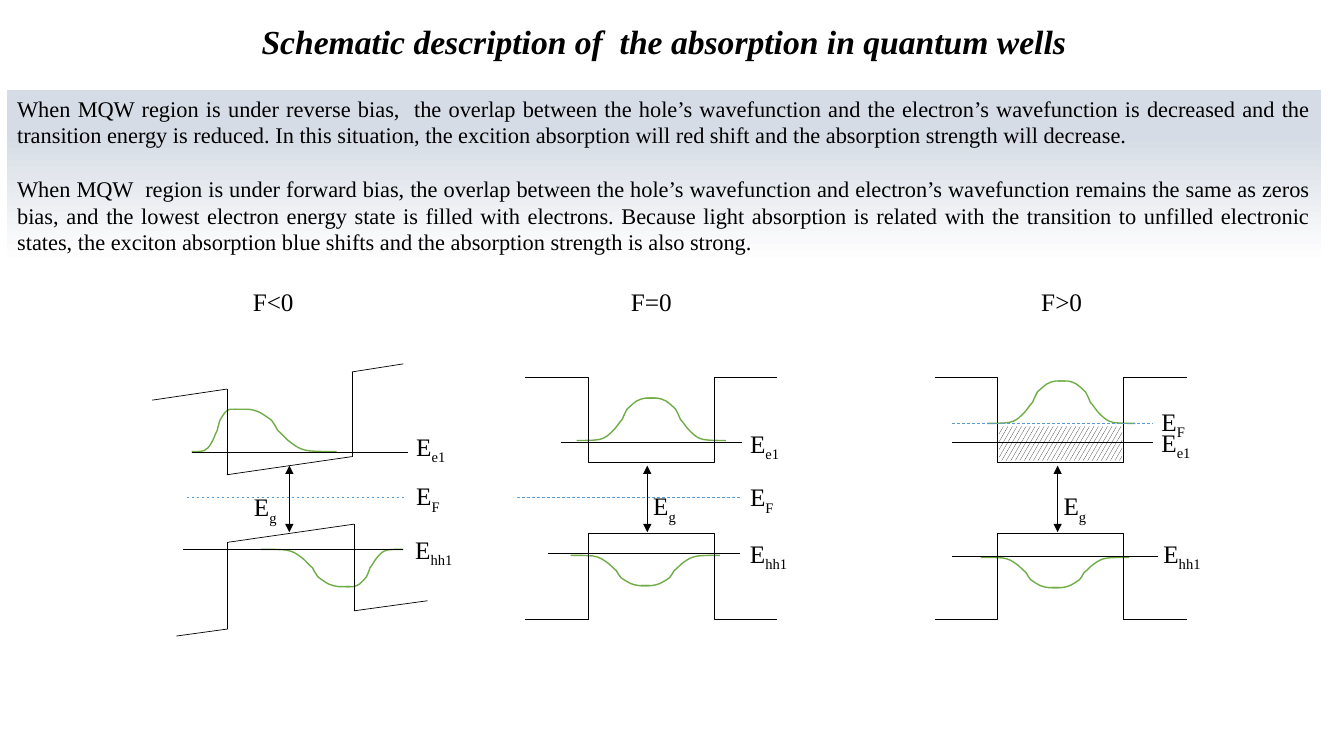
from lxml.etree import SubElement
from pptx import Presentation
from pptx.dml.color import RGBColor
from pptx.enum.dml import MSO_LINE, MSO_PATTERN
from pptx.enum.shapes import MSO_CONNECTOR, MSO_SHAPE
from pptx.enum.text import MSO_ANCHOR, MSO_AUTO_SIZE, PP_ALIGN
from pptx.oxml.ns import qn
from pptx.util import Inches, Pt

COLORS = {"ink": "000000", "paper": "FFFFFF", "panel": "D6DCE5",
          "wave": "70AD47", "fermi": "5B9BD5"}
COLORS = {name: RGBColor.from_string(value) for name, value in COLORS.items()}
FONT = "Times New Roman"

presentation = Presentation()
presentation.slide_width = Inches(13.33)
presentation.slide_height = Inches(7.5)
slide = presentation.slides.add_slide(presentation.slide_layouts[1])


def draw_line(x1, y1, x2, y2, kind=MSO_CONNECTOR.STRAIGHT, color="ink", dashed=False, arrows=False):
    line = slide.shapes.add_connector(kind, *map(Inches, (x1, y1, x2, y2)))
    line.line.width = Pt(0.5)
    line.line.color.rgb = COLORS[color]
    if dashed:
        line.line.dash_style = MSO_LINE.DASH
    if arrows:
        for end in ("a:headEnd", "a:tailEnd"):
            SubElement(line.line._get_or_add_ln(), qn(end), type="triangle")
    SubElement(line._element.spPr, qn("a:effectLst"))


def write_label(left, top, width, text, subscript=""):
    box = slide.shapes.add_textbox(*map(Inches, (left, top, width, 0.4)))
    box.text_frame.word_wrap = True
    paragraph = box.text_frame.paragraphs[0]
    paragraph.alignment = PP_ALIGN.LEFT if subscript else PP_ALIGN.CENTER
    for part in filter(None, (text, subscript)):
        run = paragraph.add_run()
        run.text = part
        for name, value in {"name": FONT, "size": Pt(18)}.items():
            setattr(run.font, name, value)
        run.font.color.rgb = COLORS["ink"]
        if part == subscript:
            run.font._element.set("baseline", "-25000")


# Title and explanation
title, body = slide.placeholders
title.text_frame.text = "Schematic description of  the absorption in quantum wells"
body.text_frame.text = (
    "When MQW region is under reverse bias,  the overlap between the hole’s wavefunction and the "
    "electron’s wavefunction is decreased and the transition energy is reduced. In this situation, "
    "the excition absorption will red shift and the absorption strength will decrease.\n"
    "When MQW  region is under forward bias, the overlap between the hole’s wavefunction and "
    "electron’s wavefunction remains the same as zeros bias, and the lowest electron energy state "
    "is filled with electrons. Because light absorption is related with the transition to unfilled "
    "electronic states, the exciton absorption blue shifts and the absorption strength is also strong.")
for shape, area, alignment, font in (
        (title, (0.12, 0.16, 12.93, 0.5), PP_ALIGN.CENTER,
         {"name": FONT, "size": Pt(24), "bold": True, "italic": True}),
        (body, (0.07, 0.89, 13.03, 1.72), PP_ALIGN.JUSTIFY, {"name": FONT, "size": Pt(16)})):
    for side, length in zip(("left", "top", "width", "height"), area):
        setattr(shape, side, Inches(length))
    for name, value in {"vertical_anchor": MSO_ANCHOR.TOP, "word_wrap": True,
                        "auto_size": MSO_AUTO_SIZE.NONE}.items():
        setattr(shape.text_frame, name, value)
    for paragraph in shape.text_frame.paragraphs:
        paragraph.alignment = alignment
        paragraph.space_before = Pt(0)
        for name, value in font.items():
            setattr(paragraph.runs[0].font, name, value)
        paragraph.runs[0].font.color.rgb = COLORS["ink"]

for paragraph in body.text_frame.paragraphs:
    paragraph.line_spacing = Pt(19.1)
    properties = paragraph._p.get_or_add_pPr()
    properties.set("marL", "0")
    properties.set("indent", "0")
    SubElement(properties, qn("a:buNone"))
body.text_frame.paragraphs[1].space_before = Pt(19.1)
body.fill.gradient()
body.fill.gradient_angle = 270
for stop, position, color in zip(body.fill.gradient_stops, (0.26, 1), ("panel", "paper")):
    stop.position = position
    stop.color.rgb = COLORS[color]

# Filled electron states under forward bias
filled_states = slide.shapes.add_shape(MSO_SHAPE.RECTANGLE, *map(Inches, (9.91, 4.23, 1.22, 0.34)))
filled_states.shadow.inherit = False
filled_states.line.fill.background()
filled_states.fill.patterned()
filled_states.fill.pattern = MSO_PATTERN.LARGE_CONFETTI
filled_states.fill.fore_color.rgb = COLORS["ink"]
filled_states.fill.back_color.rgb = COLORS["paper"]

# Half wave from foot (0, 0) to crest (1, 1): start, then three control points per curve
HALF_WAVE = [(0, 0), (0.1, 0), (0.2, 0), (0.28, 0.02), (0.36, 0.05), (0.4, 0.12), (0.45, 0.21),
             (0.5, 0.29), (0.54, 0.43), (0.58, 0.5), (0.6, 0.6), (0.62, 0.67), (0.64, 0.74),
             (0.68, 0.81), (0.72, 0.88), (0.76, 0.93), (0.8, 0.97), (0.83, 0.99), (0.87, 1),
             (0.91, 1), (1, 1), (1, 1)]
# Left foot, left crest, right foot, right crest, base, peak
WAVES = [(1.9, 2.34, 3.34, 2.33, 4.48, 4.06), (2.59, 3.47, 4, 3.43, 5.45, 5.82),
         (5.72, 6.5, 7.2, 6.42, 4.37, 3.95), (5.66, 6.44, 7.14, 6.36, 5.51, 5.81),
         (9.79, 10.57, 11.26, 10.49, 4.2, 3.78), (9.73, 10.5, 11.2, 10.43, 5.53, 5.83)]
for *ends, base, peak in WAVES:
    for foot, crest in (ends[:2], ends[2:]):
        points = [(Inches(foot + x * (crest - foot)), Inches(base + y * (peak - base)))
                  for x, y in HALF_WAVE]
        builder = slide.shapes.build_freeform(*points[0])
        builder.add_line_segments(points[1:], close=False)
        wave = builder.convert_to_shape()
        wave.shadow.inherit = False
        wave.fill.background()
        wave.line.color.rgb = COLORS["wave"]
        wave.line.width = Pt(1)
        outline = next(wave._element.iter(qn("a:path")))
        segments = outline.findall(qn("a:lnTo"))
        for first in range(0, len(segments), 3):
            curve = SubElement(outline, qn("a:cubicBezTo"))
            for segment in segments[first:first + 3]:
                curve.append(segment[0])
                outline.remove(segment)

# Flat wells at zero and forward bias
for center in (6.46, 10.52):
    for side in (-1.25, 1.25):
        for barrier, well in ((3.74, 4.59), (6.14, 5.29)):
            draw_line(center + side, barrier, center, well, MSO_CONNECTOR.ELBOW)

# Tilted well at reverse bias, one outline per band
for outline in ([(1.51, 3.97), (2.25, 3.86), (2.25, 4.71), (3.49, 4.53), (3.49, 3.69), (4, 3.61)],
                [(1.75, 6.31), (2.26, 6.24), (2.26, 5.38), (3.51, 5.2), (3.51, 6.06), (4.24, 5.96)]):
    for start, end in zip(outline, outline[1:]):
        draw_line(*start, *end)

# Energy levels: left, right, height
for left, right, y in ((1.9, 4.05, 4.49), (1.82, 4, 5.45), (5.56, 7.36, 4.39),
                       (5.44, 7.34, 5.49), (9.44, 11.44, 4.39), (9.44, 11.49, 5.52)):
    draw_line(left, y, right, y)
for left, right, y in ((1.85, 4.03, 4.93), (5.13, 7.34, 4.93), (9.44, 11.44, 4.2)):
    draw_line(left, y, right, y, color="fermi", dashed=True)
for x in (2.87, 6.42, 10.49):
    draw_line(x, 4.62, x, 5.28, arrows=True)

# Labels
for left, bias in ((1.98, "F<0"), (5.73, "F=0"), (9.8, "F>0")):
    write_label(left, 2.79, 1.46, bias)
for subscript, width, places in (
        ("e1", 0.59, ((4.03, 4.23), (7.34, 4.2), (11.42, 4.19))),
        ("F", 0.59, ((4.03, 4.72), (7.34, 4.73), (11.42, 3.98))),
        ("hh1", 0.74, ((4.02, 5.25), (7.34, 5.29), (11.44, 5.29))),
        ("g", 0.49, ((2.42, 4.83), (6.38, 4.82), (10.45, 4.82)))):
    for left, top in places:
        write_label(left, top, width, "E", subscript)

presentation.save("out.pptx")
